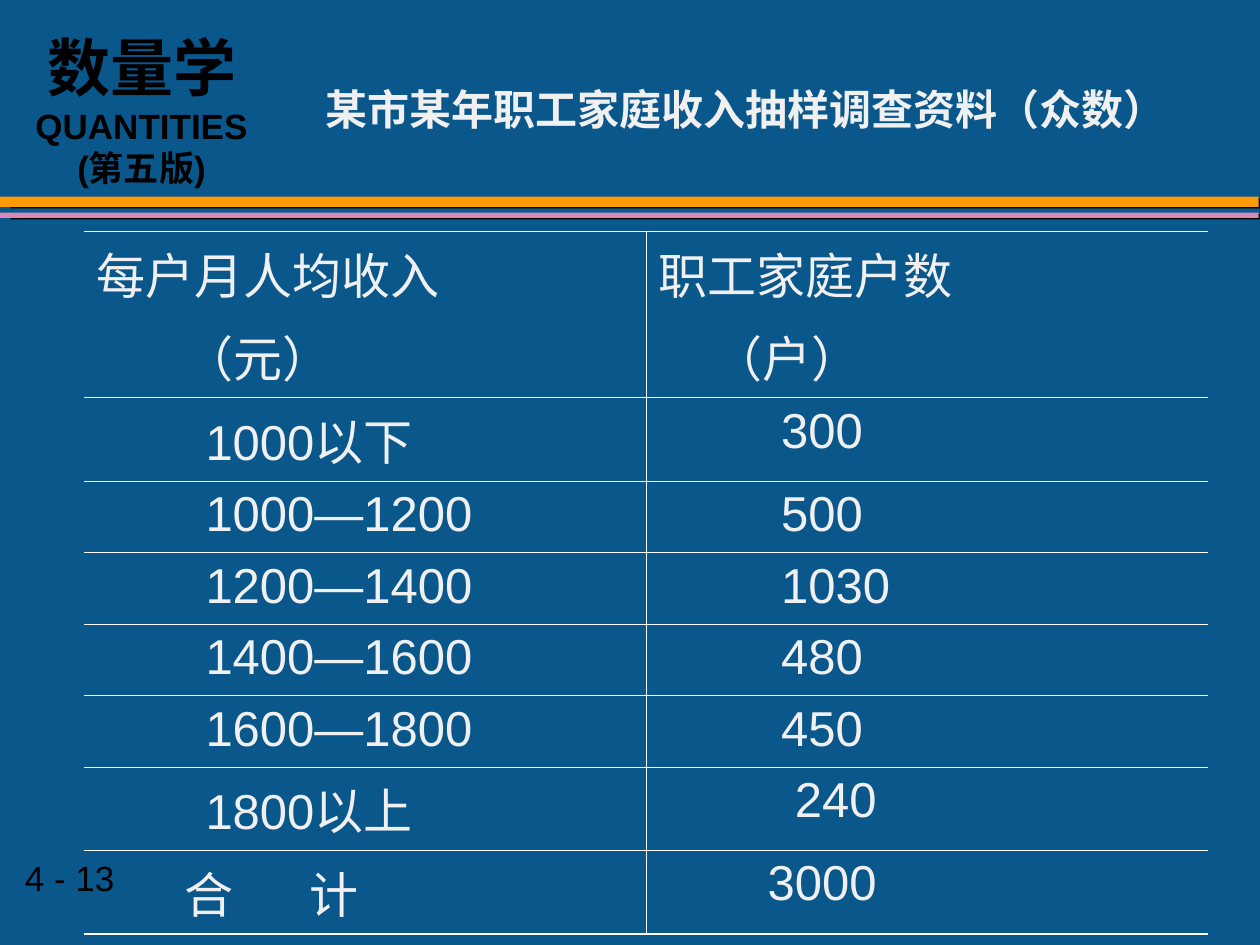
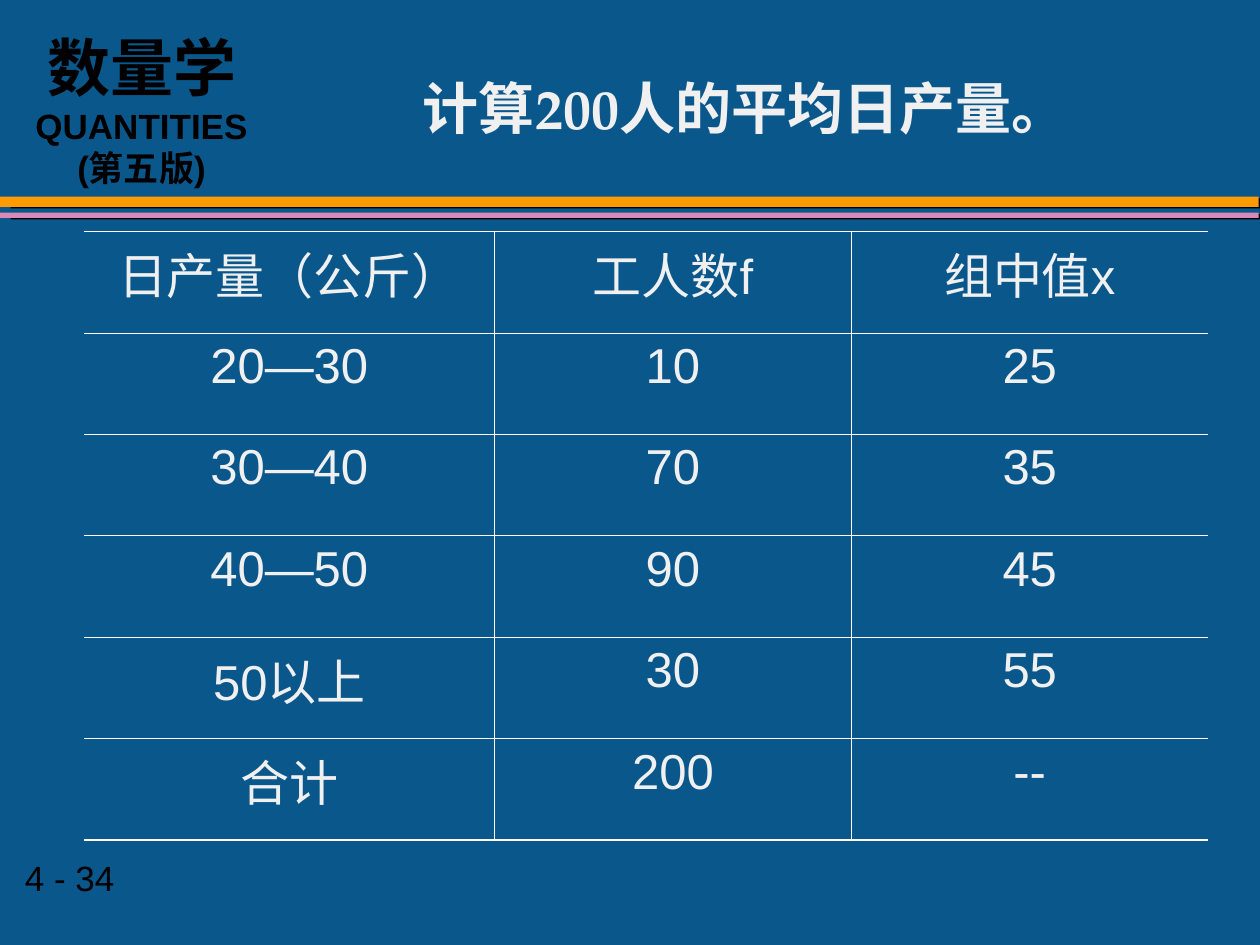
from dataclasses import dataclass

from lxml.etree import SubElement
from pptx import Presentation
from pptx.dml.color import RGBColor
from pptx.enum.shapes import MSO_SHAPE
from pptx.enum.text import MSO_ANCHOR, MSO_AUTO_SIZE, PP_ALIGN
from pptx.oxml.ns import qn
from pptx.util import Pt

COLOURS = {
    "background": "0A578C",
    "orange": "FE9B03",
    "pink": "D989B8",
    "light": "F0F0F0",
    "grid": "FFFFFF",
    "dark": "000000",
}
BODY_FONT = "Arial"
TITLE_FONT = "TeX Gyre Pagella"
TITLE_ONLY_LAYOUT = 5
NO_GRID_STYLE = "{2D5ABB26-0587-4C30-8999-92F81FD0307C}"
THIN, THICK = 0.45, 1.08
TABLE_LEFT, TABLE_TOP = 48, 132.2
LATIN_SPACE, CHINESE_SPACE = 7.78, 6.27
HEADER_ROW, CHINESE_ROW, NUMBER_ROW = 95, 47.7, 40.85


@dataclass(frozen=True)
class Band:
    top: float
    height: float
    colour: str


@dataclass(frozen=True)
class Line:
    text: str
    indent: float = 0
    letter_spacing: float = 0


@dataclass(frozen=True)
class TablePage:
    number: str
    title: str
    title_size: int
    columns: list[float]
    heights: list[float]
    rows: list[list[list[Line]]]
    alignment: PP_ALIGN


BANDS = [Band(112.4, 5.8, "orange"), Band(121.5, 3, "pink")]


def income_row(income: str, households: str, spaces: int = 9) -> list[list[Line]]:
    return [[Line(income, 8 * LATIN_SPACE)], [Line(households, spaces * LATIN_SPACE)]]


INCOME_ROWS = [
    [
        [Line("每户月人均收入"), Line("（元）", 8 * CHINESE_SPACE)],
        [Line("职工家庭户数"), Line("（户）", 5 * CHINESE_SPACE)],
    ],
    income_row("1000以下", "300"),
    income_row("1000—1200", "500"),
    income_row("1200—1400", "1030"),
    income_row("1400—1600", "480"),
    income_row("1600—1800", "450"),
    income_row("1800以上", "240", 10),
    [
        [Line("合 计", 8 * CHINESE_SPACE, letter_spacing=18.8)],
        [Line("3000", 8 * LATIN_SPACE)],
    ],
]
INCOME_HEIGHTS = [HEADER_ROW, CHINESE_ROW] + [NUMBER_ROW] * 4 + [CHINESE_ROW] * 2

OUTPUT_VALUES = [
    ("日产量（公斤）", "工人数f", "组中值x"),
    ("20—30", "10", "25"),
    ("30—40", "70", "35"),
    ("40—50", "90", "45"),
    ("50以上", "30", "55"),
    ("合计", "200", "--"),
]

PAGES = [
    TablePage("4 - 13", "某市某年职工家庭收入抽样调查资料（众数）", 24,
              [321.2, 321.2], INCOME_HEIGHTS, INCOME_ROWS, PP_ALIGN.LEFT),
    TablePage("4 - 34", "计算200人的平均日产量。", 32,
              [234.6, 203.9, 203.9], [58] * 6,
              [[[Line(text)] for text in values] for values in OUTPUT_VALUES],
              PP_ALIGN.CENTER),
]


def rgb(name: str) -> RGBColor:
    return RGBColor.from_string(COLOURS[name])


def format_font(font, size: float, colour: str, bold: bool = False,
                name: str = BODY_FONT) -> None:
    font.name = name
    font.size = Pt(size)
    font.bold = bold
    font.color.rgb = rgb(colour)


def add_band(page, band: Band) -> None:
    shape = page.shapes.add_shape(MSO_SHAPE.RECTANGLE, 0, Pt(band.top),
                                  Pt(719.3), Pt(band.height))
    shape.fill.solid()
    shape.fill.fore_color.rgb = rgb(band.colour)
    shape.line.fill.background()
    shape.shadow.inherit = False
    effects = shape._element.spPr.find(qn("a:effectLst"))
    shadow = SubElement(effects, qn("a:outerShdw"), blurRad="0",
                        dist=str(Pt(6.1)), dir=str(9 * 60000), algn="ctr",
                        rotWithShape="0")
    SubElement(shadow, qn("a:srgbClr"), val=COLOURS["dark"])


def add_page_number(page, number: str) -> None:
    box = page.shapes.add_textbox(Pt(7.2), Pt(486), Pt(134.6), Pt(31))
    box.text_frame.word_wrap = False
    box.text_frame.text = number
    format_font(box.text_frame.paragraphs[0].runs[0].font, 20, "dark")


def add_book_name(page) -> None:
    box = page.shapes.add_textbox(Pt(11.8), Pt(7.9), Pt(138.2), Pt(103))
    frame = box.text_frame
    frame.word_wrap = True
    frame.margin_top = Pt(8.5)
    name, edition = frame.paragraphs[0], frame.add_paragraph()
    for para, text, size in ((name, "数量学", 36), (name, "QUANTITIES", 20),
                             (edition, "(第五版)", 20)):
        para.alignment = PP_ALIGN.CENTER
        span = para.add_run()
        span.text = text
        format_font(span.font, size, "dark", bold=True)


def set_title(page, text: str, size: int) -> None:
    title = page.shapes.title
    title.left, title.top, title.width, title.height = Pt(144), Pt(12.2), Pt(563.8), Pt(102.2)
    frame = title.text_frame
    frame.text = text
    frame.auto_size = MSO_AUTO_SIZE.NONE
    frame.vertical_anchor = MSO_ANCHOR.MIDDLE
    para = frame.paragraphs[0]
    para.alignment = PP_ALIGN.CENTER
    para.line_spacing = 0.95
    format_font(para.runs[0].font, size, "light", bold=True, name=TITLE_FONT)


def set_borders(cell, widths: dict[str, float]) -> None:
    """Draw the cell's sides; a width of 0 hides a side."""
    properties = cell._tc.get_or_add_tcPr()
    for side, width in widths.items():
        border = SubElement(properties, qn(f"a:ln{side}"), w=str(Pt(width)))
        if width:
            fill = SubElement(border, qn("a:solidFill"))
            SubElement(fill, qn("a:srgbClr"), val=COLOURS["grid"])
        else:
            SubElement(border, qn("a:noFill"))


def fill_cell(cell, lines: list[Line], alignment: PP_ALIGN) -> None:
    frame = cell.text_frame
    frame.text = "\n".join(line.text for line in lines)
    for position, (para, line) in enumerate(zip(frame.paragraphs, lines)):
        properties = para._p.get_or_add_pPr()
        properties.set("marL", str(Pt(line.indent)))
        properties.set("indent", "0")
        if position:
            para.space_before = Pt(7)
        para.alignment = alignment
        span = para.runs[0]
        format_font(span.font, 28, "light")
        if line.letter_spacing:
            span._r.get_or_add_rPr().set("spc", str(round(line.letter_spacing * 100)))


def add_data_table(page, content: TablePage) -> None:
    row_count, column_count = len(content.rows), len(content.columns)
    frame = page.shapes.add_table(row_count, column_count, Pt(TABLE_LEFT), Pt(TABLE_TOP),
                                  Pt(sum(content.columns)), Pt(sum(content.heights)))
    table = frame.table
    table.first_row = table.horz_banding = False
    table._tbl.tblPr.find(qn("a:tableStyleId")).text = NO_GRID_STYLE
    for column, width in zip(table.columns, content.columns):
        column.width = Pt(width)
    for row, height in zip(table.rows, content.heights):
        row.height = Pt(height)
    for row_index, row in enumerate(content.rows):
        for column_index, lines in enumerate(row):
            cell = table.cell(row_index, column_index)
            set_borders(cell, {
                "L": THIN if column_index else 0,
                "R": THIN if column_index < column_count - 1 else 0,
                "T": THIN if row_index else THICK,
                "B": THIN if row_index < row_count - 1 else THICK,
            })
            cell.fill.background()
            fill_cell(cell, lines, content.alignment)


def add_page(deck, content: TablePage) -> None:
    page = deck.slides.add_slide(deck.slide_layouts[TITLE_ONLY_LAYOUT])
    for band in BANDS:
        add_band(page, band)
    add_page_number(page, content.number)
    add_book_name(page)
    set_title(page, content.title, content.title_size)
    add_data_table(page, content)


def main() -> None:
    deck = Presentation()
    deck.slide_width, deck.slide_height = Pt(720), Pt(540)
    background = deck.slide_master.background.fill
    background.solid()
    background.fore_color.rgb = rgb("background")
    for content in PAGES:
        add_page(deck, content)
    deck.save("out.pptx")


if __name__ == "__main__":
    main()
